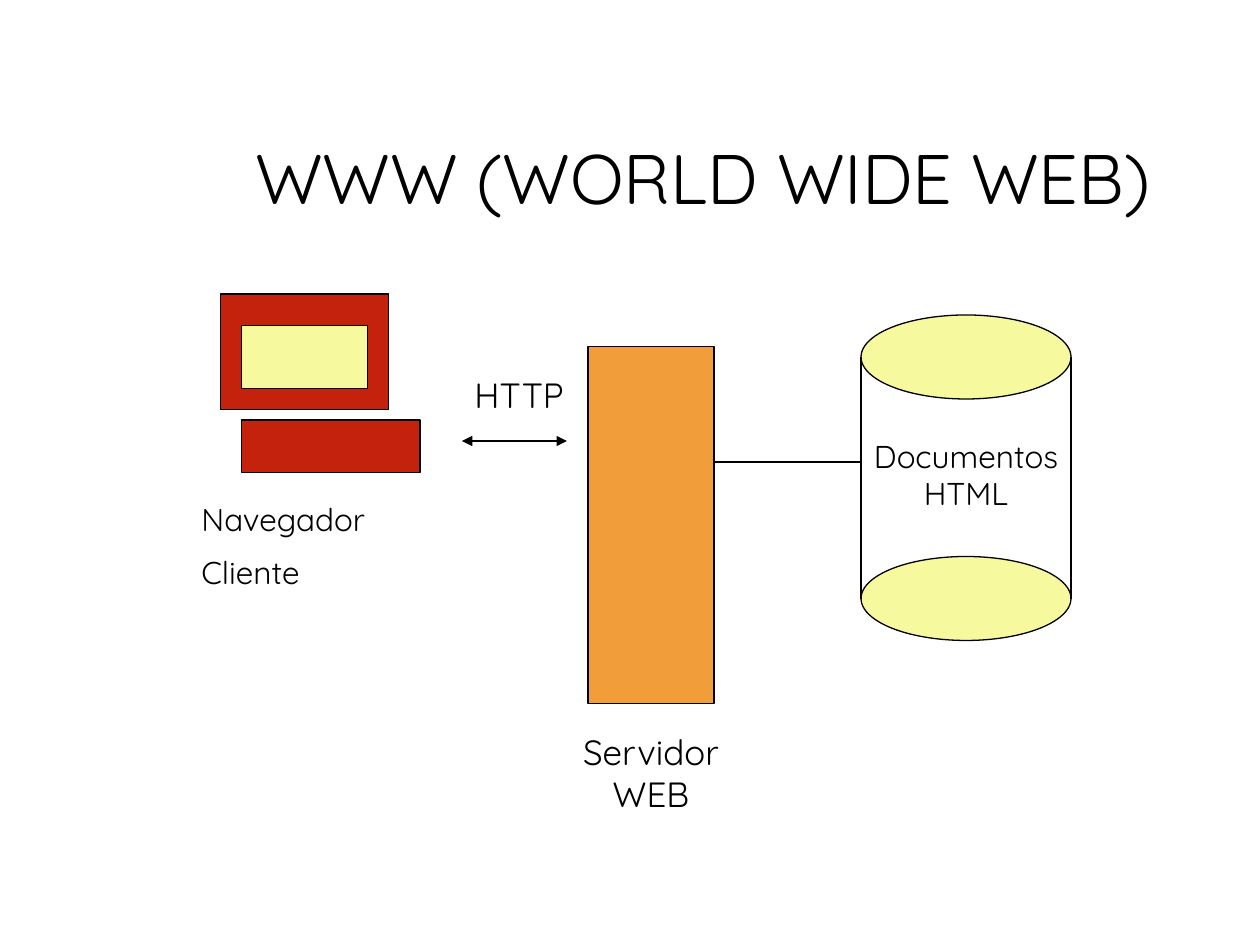
from collections import namedtuple

from lxml.etree import SubElement
from pptx import Presentation
from pptx.dml.color import RGBColor
from pptx.enum.shapes import MSO_CONNECTOR as Connector, MSO_SHAPE as Shape
from pptx.enum.text import MSO_ANCHOR as Anchor, MSO_AUTO_SIZE as AutoSize, PP_ALIGN as Align
from pptx.oxml.ns import qn
from pptx.util import Inches, Pt

BLACK = RGBColor(0x00, 0x00, 0x00)
RED = RGBColor(0xC4, 0x22, 0x0D)
YELLOW = RGBColor(0xF7, 0xF9, 0x9F)
ORANGE = RGBColor(0xF0, 0x9D, 0x3A)
FONT = "Quicksand"
CELL = Inches(1) // 12  # the slide is a grid of 120 columns by 90 rows

Box = namedtuple("Box", "left top width height")


def inside(box, column, row, width, height):
    """Box at a grid offset from the corner of another box."""
    return Box(box.left + column, box.top + row, width, height)


def lengths(cells):
    return [round(cell * CELL) for cell in cells]


def style_text(frame, text, size, align):
    frame.text = text
    frame.word_wrap = True
    for number, para in enumerate(frame.paragraphs):
        para.alignment = align
        if number:
            para.space_before = Pt(size / 2)
        for span in para.runs:
            span.font.name = FONT
            span.font.size = Pt(size)
            span.font.color.rgb = BLACK


def add_label(page, box, text, size=18, align=Align.CENTER):
    label = page.shapes.add_textbox(*lengths(box))
    style_text(label.text_frame, text, size, align)


def add_block(page, box, fill, kind=Shape.RECTANGLE):
    block = page.shapes.add_shape(kind, *lengths(box))
    block.shadow.inherit = False
    block.fill.solid()
    block.fill.fore_color.rgb = fill
    block.line.color.rgb = BLACK
    block.line.width = Pt(0.75)


def add_line(page, start, end, arrows=False):
    line = page.shapes.add_connector(Connector.STRAIGHT, *lengths(start + end))
    line.line.color.rgb = BLACK
    line.line.width = Pt(0.75)
    if arrows:
        outline = line.line._get_or_add_ln()
        for tip in ("a:headEnd", "a:tailEnd"):
            SubElement(outline, qn(tip), type="triangle")
    SubElement(line._element.spPr, qn("a:effectLst"))


def add_title(page):
    title = page.shapes.title
    title.left, title.top = Inches(0.23), Inches(0.86)
    title.width, title.height = Inches(9), Inches(1.17)
    frame = title.text_frame
    style_text(frame, "WWW (WORLD WIDE WEB)", 40, Align.RIGHT)
    frame.auto_size = AutoSize.NONE
    frame.vertical_anchor = Anchor.MIDDLE
    frame.paragraphs[0].line_spacing = 0.9


def add_client(page, box):
    add_block(page, inside(box, 3, 0, 16, 11), RED)
    add_block(page, inside(box, 5, 3, 12, 6), YELLOW)
    add_block(page, inside(box, 5, 12, 17, 5), RED)
    add_label(page, inside(box, 0, 19, 20, 10), "Navegador\nCliente", align=Align.LEFT)


def add_server(page, box):
    add_block(page, inside(box, 2, 0, 12, 34), ORANGE)
    add_label(page, inside(box, 0, 36, box.width, 9), "Servidor WEB", 20)


def add_database(page, box):
    """Draw an open cylinder: two ellipses joined by their sides."""
    cap = 8
    base = box.height - cap
    for row in (0, base):
        add_block(page, inside(box, 0, row, box.width, cap), YELLOW, Shape.OVAL)
    for side in (box.left, box.left + box.width):
        add_line(page, (side, box.top + cap / 2), (side, box.top + base + cap / 2))
    add_label(page, inside(box, -1, 11, box.width + 2, 9), "Documentos HTML")


def add_protocol(page, box):
    level = box.top + box.height
    add_line(page, (box.left, level), (box.left + 10, level), arrows=True)
    add_label(page, inside(box, 0, 0, box.width, 5), "HTTP", 20, Align.LEFT)


def main():
    deck = Presentation()
    deck.slide_width, deck.slide_height = Inches(10), Inches(7.5)
    page = deck.slides.add_slide(deck.slide_layouts[5])
    add_title(page)
    add_client(page, Box(18, 28, 22, 29))
    add_server(page, Box(54, 33, 16, 45))
    add_database(page, Box(82, 30, 20, 31))
    add_protocol(page, Box(44, 35, 13, 7))
    add_line(page, (68, 44), (82, 44))
    deck.save("out.pptx")


if __name__ == "__main__":
    main()
